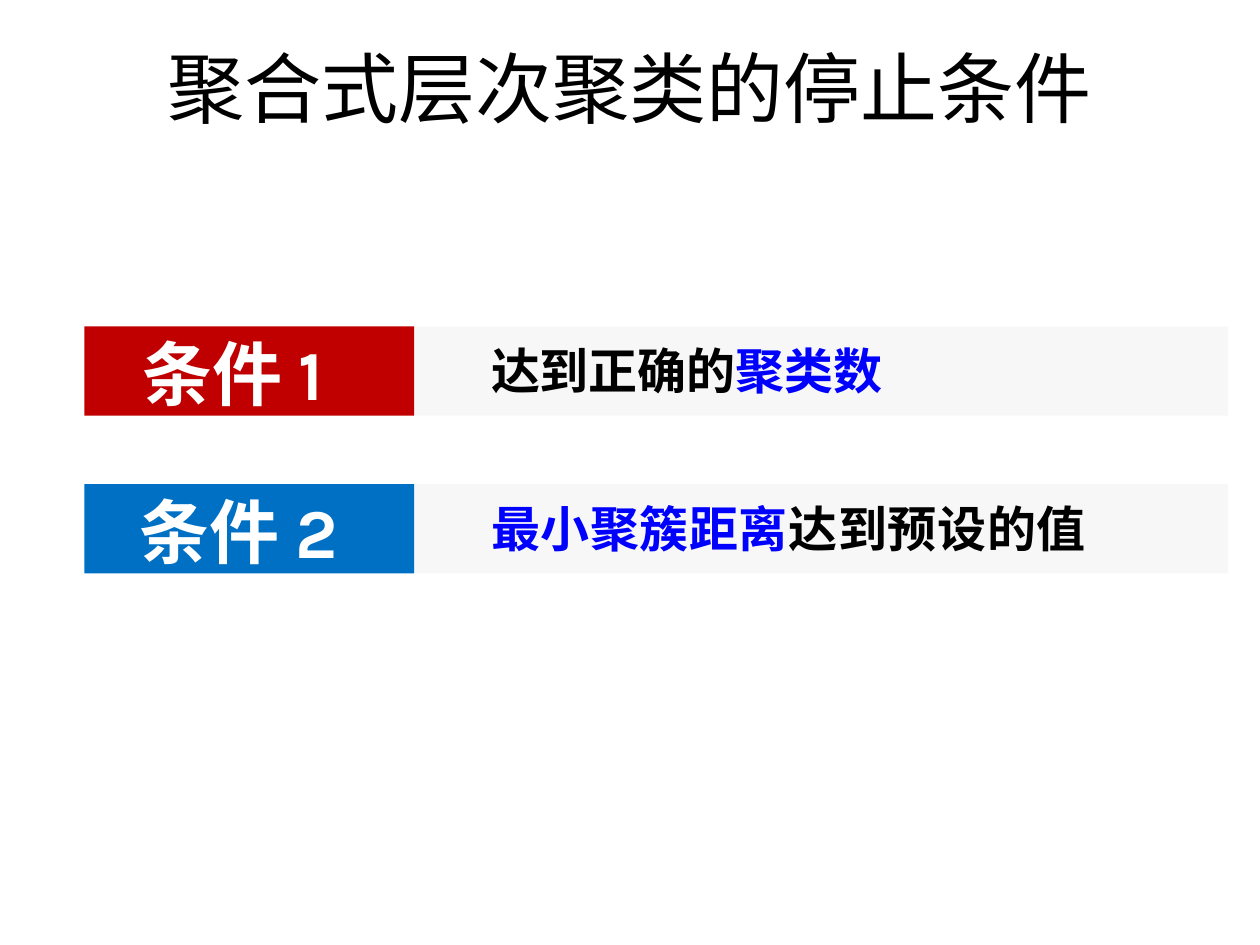
from lxml import etree
from pptx import Presentation
from pptx.dml.color import RGBColor
from pptx.enum.shapes import MSO_SHAPE
from pptx.enum.text import MSO_ANCHOR, PP_ALIGN
from pptx.oxml.ns import qn
from pptx.util import Cm, Pt

BLACK = RGBColor(0x00, 0x00, 0x00)
WHITE = RGBColor(0xFF, 0xFF, 0xFF)
RED = RGBColor(0xC0, 0x00, 0x00)
BLUE = RGBColor(0x00, 0x70, 0xC5)
ACCENT = RGBColor(0x00, 0x00, 0xFF)
GRAY = RGBColor(0xF1, 0xF1, 0xF1)

LABEL_LEFT, LABEL_WIDTH = 1.7, 6.65
DETAIL_WIDTH = 16.41
ROW_TOP, ROW_PITCH, ROW_HEIGHT = 6.58, 3.18, 1.8

prs = Presentation()
prs.slide_width, prs.slide_height = Cm(25.4), Cm(19.05)
s = prs.slides.add_slide(prs.slide_layouts[5])


def add_bar(left, top, width, fill, inset, indent, before, size, runs, spacing=0):
    """Add a filled bar holding one line of (text, colour) runs."""
    sp = s.shapes.add_shape(MSO_SHAPE.RECTANGLE, Cm(left), Cm(top),
                            Cm(width), Cm(ROW_HEIGHT))
    sp.shadow.inherit = False
    sp.fill.solid()
    sp.fill.fore_color.rgb = fill
    sp.line.fill.background()
    tf = sp.text_frame
    tf.word_wrap = True
    tf.vertical_anchor = MSO_ANCHOR.TOP
    tf.margin_left = tf.margin_right = tf.margin_bottom = 0
    tf.margin_top = Cm(inset)
    p = tf.paragraphs[0]
    p.alignment = PP_ALIGN.LEFT
    p.space_before = Pt(before)
    p._p.get_or_add_pPr().set("marL", str(Cm(indent)))
    p.font.name, p.font.size, p.font.bold = "Karla", Pt(size), True
    for text, color in runs:
        r = p.add_run()
        r.text = text
        r.font.color.rgb = color
        if spacing:
            r.font._element.set("spc", str(spacing))
    return sp


# Title
title = s.shapes.title
title.left, title.top, title.width, title.height = Cm(1.27), Cm(0.15), Cm(22.86), Cm(3.18)
tf = title.text_frame
tf.text = "聚合式层次聚类的停止条件"
tf.vertical_anchor = MSO_ANCHOR.MIDDLE
p = tf.paragraphs[0]
p.alignment = PP_ALIGN.CENTER
p.font.name, p.font.size, p.font.color.rgb = "Calibri", Pt(44), BLACK

# Stop conditions: label, label colour, label indent, detail runs, letter spacing
conditions = [
    ("条件 1", RED, 1.17, [("达到正确的", BLACK), ("聚类数", ACCENT)], 0),
    ("条件 2", BLUE, 1.12, [("最小聚簇距离", ACCENT), ("达到预设的值", BLACK)], 40),
]
for i, (label, color, indent, detail, spacing) in enumerate(conditions):
    top = ROW_TOP + i * ROW_PITCH
    bar = add_bar(LABEL_LEFT + LABEL_WIDTH, top, DETAIL_WIDTH, GRAY,
                  0.28, 1.55, 8.2, 28, detail, spacing)
    # Half-transparent detail bar
    clr = bar._element.spPr.find(qn("a:solidFill"))[0]
    etree.SubElement(clr, qn("a:alpha")).set("val", "50000")
    add_bar(LABEL_LEFT, top, LABEL_WIDTH, color,
            0.08, indent, 2.4, 40, [(label, WHITE)])

prs.save("out.pptx")
